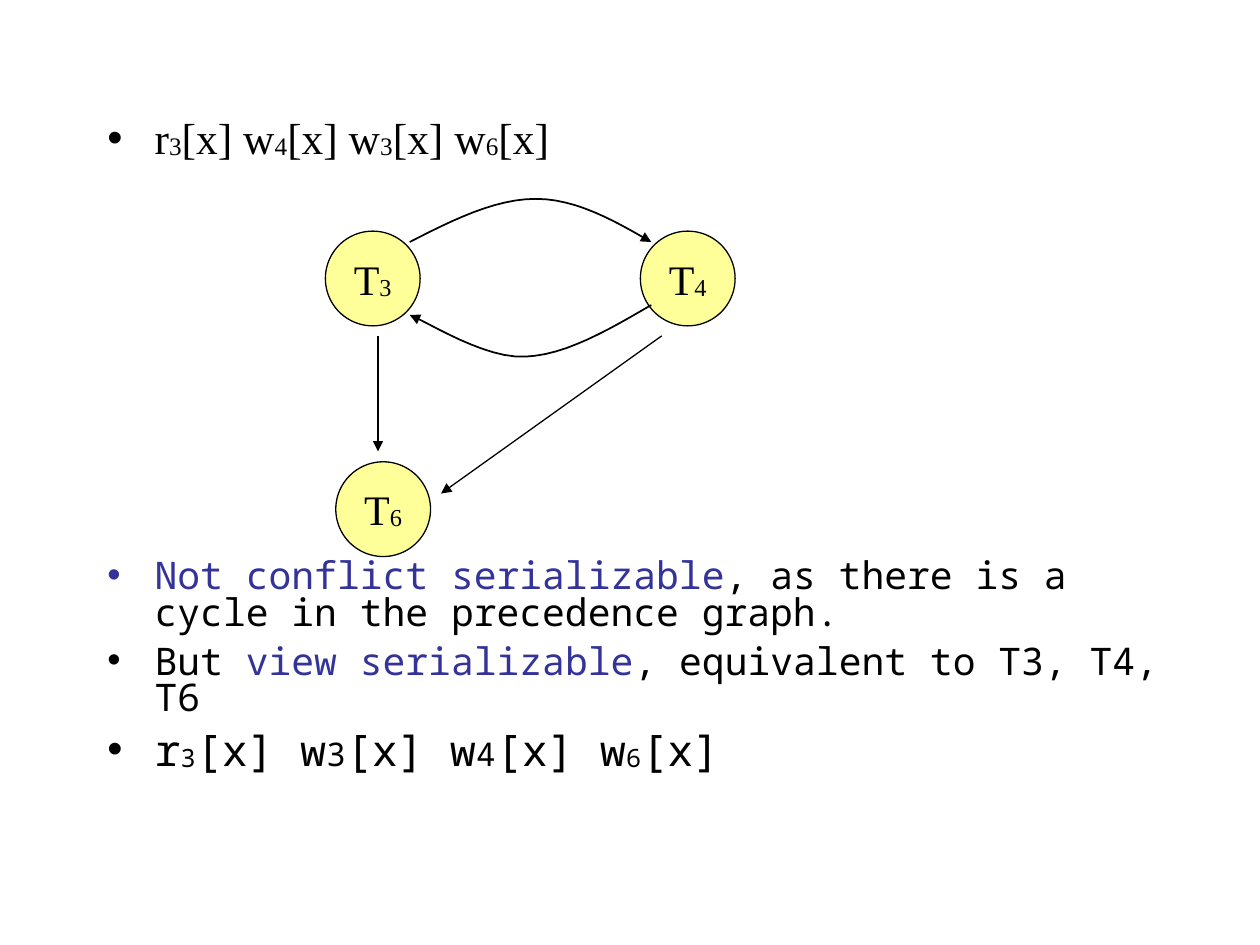
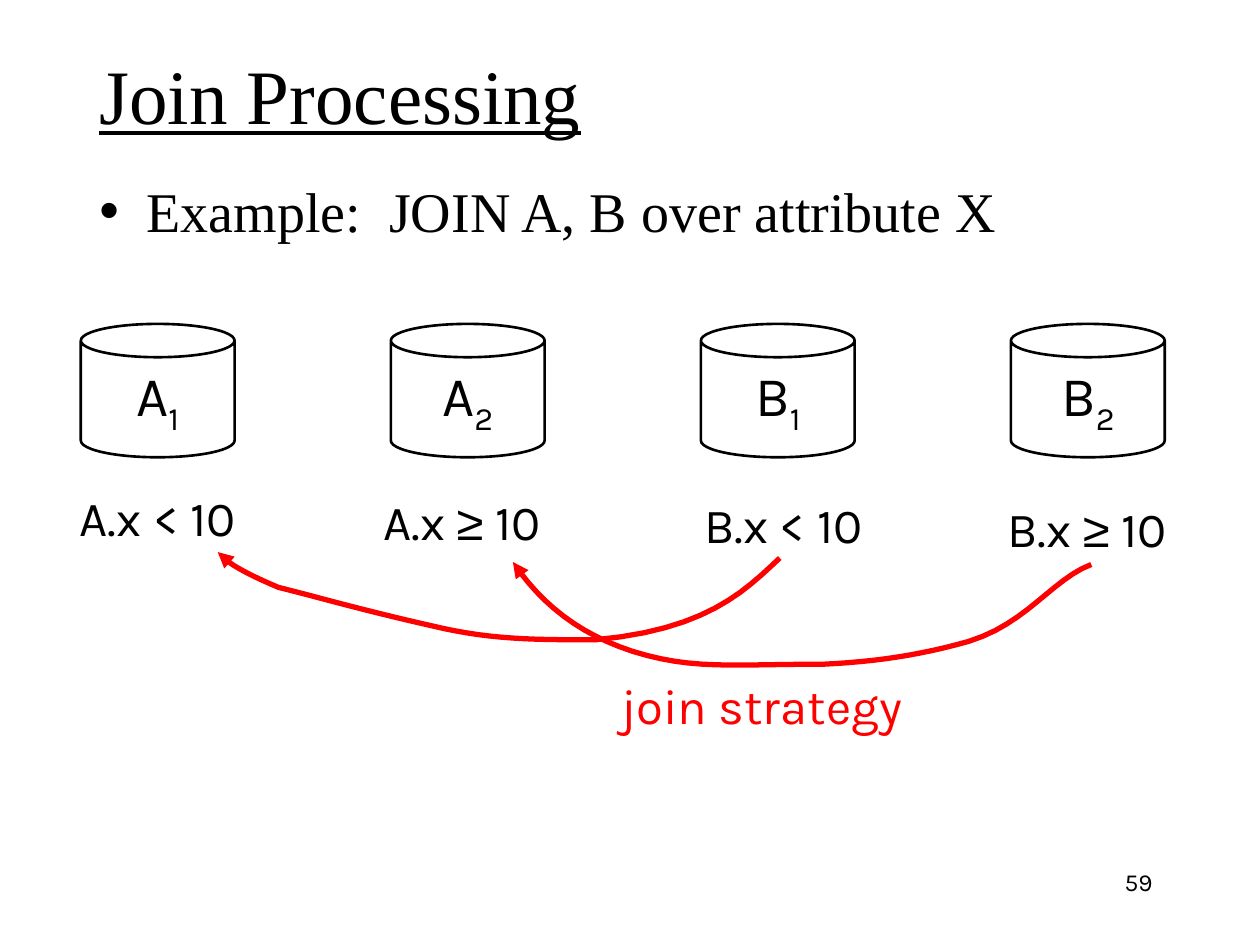
from lxml.etree import SubElement
from pptx import Presentation
from pptx.dml.color import RGBColor
from pptx.enum.shapes import MSO_CONNECTOR as Connector, MSO_SHAPE as Shape
from pptx.enum.text import MSO_ANCHOR as Anchor, MSO_AUTO_SIZE as AutoSize, PP_ALIGN as Align
from pptx.oxml.ns import qn
from pptx.util import Cm, Pt

BLACK = RGBColor(0x00, 0x00, 0x00)
WHITE = RGBColor(0xFF, 0xFF, 0xFF)
YELLOW = RGBColor(0xFF, 0xFF, 0x99)
BLUE = RGBColor(0x33, 0x33, 0x99)
RED = RGBColor(0xFF, 0x00, 0x00)

SERIF, SANS, MONO = "Times New Roman", "Karla", "Noto Sans Mono"
LOWERED = {"baseline": -2}
SUBSCRIPT = {"baseline": -25}
SMALL = {"size": 18.6}
CURVE_STEPS = 12


def add_run(paragraph, text, font=SERIF, size=24, color=BLACK, baseline=0, underline=False):
    run = paragraph.add_run()
    run.text = text
    run.font.name = font
    run.font.size = Pt(size)
    run.font.color.rgb = color
    if underline:
        run.font.underline = True
    if baseline:
        run.font._element.set("baseline", str(baseline * 1000))


def write(paragraph, pieces, align=Align.LEFT, before=0, spacing=None, **style):
    """Fill a paragraph from a string or from (text, changes to the style) pairs."""
    paragraph.alignment = align
    paragraph.space_before = Pt(before)
    if spacing:
        paragraph.line_spacing = spacing
    if isinstance(pieces, str):
        pieces = [(pieces, {})]
    for text, changes in pieces:
        add_run(paragraph, text, **{**style, **changes})


def bezier_points(points):
    """Sample a chain of cubic curves: a start, then three points per curve."""
    sampled = [points[0]]
    for first in range(0, len(points) - 1, 3):
        corners = points[first:first + 4]
        for step in range(1, CURVE_STEPS + 1):
            t = step / CURVE_STEPS
            weights = ((1 - t) ** 3, 3 * t * (1 - t) ** 2, 3 * t * t * (1 - t), t ** 3)
            sampled.append(tuple(sum(weight * corner[axis] for weight, corner in zip(weights, corners))
                                 for axis in (0, 1)))
    return sampled


class SlideBuilder:
    def __init__(self, presentation):
        self.presentation = presentation
        self.slide = None

    def new_slide(self, has_title=True):
        self.slide = self.presentation.slides.add_slide(self.presentation.slide_layouts[1])
        if not has_title:
            title = self.slide.shapes.title._element
            title.getparent().remove(title)

    def place(self, shape, left, top, width, height, anchor=Anchor.TOP):
        shape.left, shape.top, shape.width, shape.height = map(Cm, (left, top, width, height))
        shape.text_frame.auto_size = AutoSize.NONE
        shape.text_frame.vertical_anchor = anchor
        return shape.text_frame

    def title(self, text, *box):
        frame = self.place(self.slide.shapes.title, *box, anchor=Anchor.MIDDLE)
        write(frame.paragraphs[0], text, size=44, underline=True)

    def bullets(self, items, *box):
        """Each item is the text of a bullet and its format."""
        frame = self.place(self.slide.placeholders[1], *box)
        for index, (pieces, style) in enumerate(items):
            paragraph = frame.add_paragraph() if index else frame.paragraphs[0]
            write(paragraph, pieces, **style)

    def label(self, pieces, *box, wrap=False, anchor=Anchor.MIDDLE, align=Align.CENTER, **style):
        frame = self.place(self.slide.shapes.add_textbox(0, 0, 0, 0), *box, anchor=anchor)
        frame.word_wrap = wrap
        write(frame.paragraphs[0], pieces, align=align, **{"font": SANS, "size": 28, **style})

    def node(self, kind, pieces, *box, fill=WHITE, line_width=0.75, **style):
        shape = self.slide.shapes.add_shape(kind, 0, 0, 0, 0)
        frame = self.place(shape, *box, anchor=Anchor.MIDDLE)
        frame.word_wrap = False
        shape.shadow.inherit = False
        shape.fill.solid()
        shape.fill.fore_color.rgb = fill
        shape.line.color.rgb = BLACK
        shape.line.width = Pt(line_width)
        write(frame.paragraphs[0], pieces, align=Align.CENTER, **style)

    def arrowhead(self, shape, color, width):
        shape.line.color.rgb = color
        shape.line.width = Pt(width)
        SubElement(shape.line._get_or_add_ln(), qn("a:tailEnd"), type="triangle")

    def arrow(self, start, end):
        connector = self.slide.shapes.add_connector(Connector.STRAIGHT, *map(Cm, start + end))
        self.arrowhead(connector, BLACK, 0.75)
        SubElement(connector._element.spPr, qn("a:effectLst"))

    def curved_arrow(self, points, color=BLACK, width=1):
        start, *rest = [(Cm(x), Cm(y)) for x, y in bezier_points(points)]
        builder = self.slide.shapes.build_freeform(*start)
        builder.add_line_segments(rest, close=False)
        curve = builder.convert_to_shape()
        curve.shadow.inherit = False
        curve.fill.background()
        self.arrowhead(curve, color, width)


def precedence_graph_slide(builder):
    builder.new_slide(has_title=False)
    schedule = [("r", {}), ("3", LOWERED), ("[x] w", {}), ("4", LOWERED), ("[x] w", {}),
                ("3", LOWERED), ("[x] w", {}), ("6", LOWERED), ("[x]", {})]
    serial_schedule = [("r", {}), ("3", LOWERED), ("[x] w", {}), ("3", SMALL), ("[x] w", {}),
                       ("4", SMALL), ("[x] w", {}), ("6", LOWERED), ("[x]", {})]
    blue = {"color": BLUE}
    remark = {"font": MONO, "size": 21.7, "spacing": 0.8, "before": 7}
    builder.bullets([
        (schedule, {"size": 24.8}),
        ([("Not conflict serializable", blue),
          (", as there is a cycle in the precedence graph.", {})], {**remark, "before": 227}),
        ([("But ", {}), ("view serializable", blue), (", equivalent to T3, T4, T6", {})], remark),
        (serial_schedule, {**remark, "size": 24.8, "before": 8}),
    ], 1.91, 2.12, 22.23, 14.81)

    for number, left, top in (("3", 6.56, 4.66), ("6", 6.77, 9.31), ("4", 12.91, 4.66)):
        builder.node(Shape.OVAL, [("T", {}), (number, LOWERED)], left, top, 1.91, 1.91, fill=YELLOW)
    builder.arrow((7.62, 6.77), (7.62, 9.1))
    builder.arrow((13.34, 6.77), (8.89, 9.95))
    builder.curved_arrow([(8.26, 4.88), (9.12, 4.44), (9.98, 4.01), (10.8, 4.01),
                          (11.61, 4.01), (12.37, 4.44), (13.13, 4.88)])
    builder.curved_arrow([(13.13, 6.15), (12.27, 6.65), (11.4, 7.16), (10.59, 7.19),
                          (9.78, 7.24), (8.64, 6.5), (8.26, 6.35)])


def join_processing_slide(builder):
    builder.new_slide()
    builder.label("59", 18.2, 17.36, 5.29, 1.27, wrap=True, anchor=Anchor.TOP, align=Align.RIGHT, size=14)
    builder.title("Join Processing", 1.75, 0.56, 21.59, 2.67)
    builder.bullets([("Example:  JOIN A, B over attribute X", {"size": 32})], 1.75, 3.43, 21.59, 1.68)

    fragments = (("A", "1", "<", 3.18), ("A", "2", "≥", 9.31), ("B", "1", "<", 15.79), ("B", "2", "≥", 21.91))
    for index, (relation, number, sign, label_center) in enumerate(fragments):
        builder.node(Shape.CAN, [(relation, {}), (number, SUBSCRIPT)], 1.63 + 6.25 * index, 6.53, 3.1, 2.69,
                     line_width=1.5, font=SANS, size=32)
        sign_style = {"font": "Arial"} if sign == "≥" else {}
        builder.label([(f"{relation}.x ", {}), (sign, sign_style), (" 10", {})],
                      label_center - 2.15, 9.7 + 0.07 * index, 4.3, 1.45)

    for points in (
        [(15.72, 11.25), (14.99, 11.94), (14.22, 12.7), (11.99, 12.9), (10.67, 12.9), (9.91, 12.88),
         (8.94, 12.67), (7.37, 12.32), (6.6, 12.09), (5.61, 11.84), (4.95, 11.56), (4.57, 11.35),
         (4.39, 11.13)],
        [(22, 11.38), (21.21, 11.68), (20.7, 12.57), (19.53, 12.93), (18.54, 13.21), (17.65, 13.34),
         (16.61, 13.39), (14.73, 13.39), (13.97, 13.51), (12.75, 13.13), (11.68, 12.78), (10.92, 12.19),
         (10.34, 11.33)],
    ):
        builder.curved_arrow(points, color=RED, width=3)
    builder.label("join strategy", 12.22, 13.49, 6.27, 1.45, color=RED)


def main():
    presentation = Presentation()
    presentation.slide_width, presentation.slide_height = Cm(25.4), Cm(19.05)
    builder = SlideBuilder(presentation)
    precedence_graph_slide(builder)
    join_processing_slide(builder)
    presentation.save("out.pptx")


if __name__ == "__main__":
    main()
